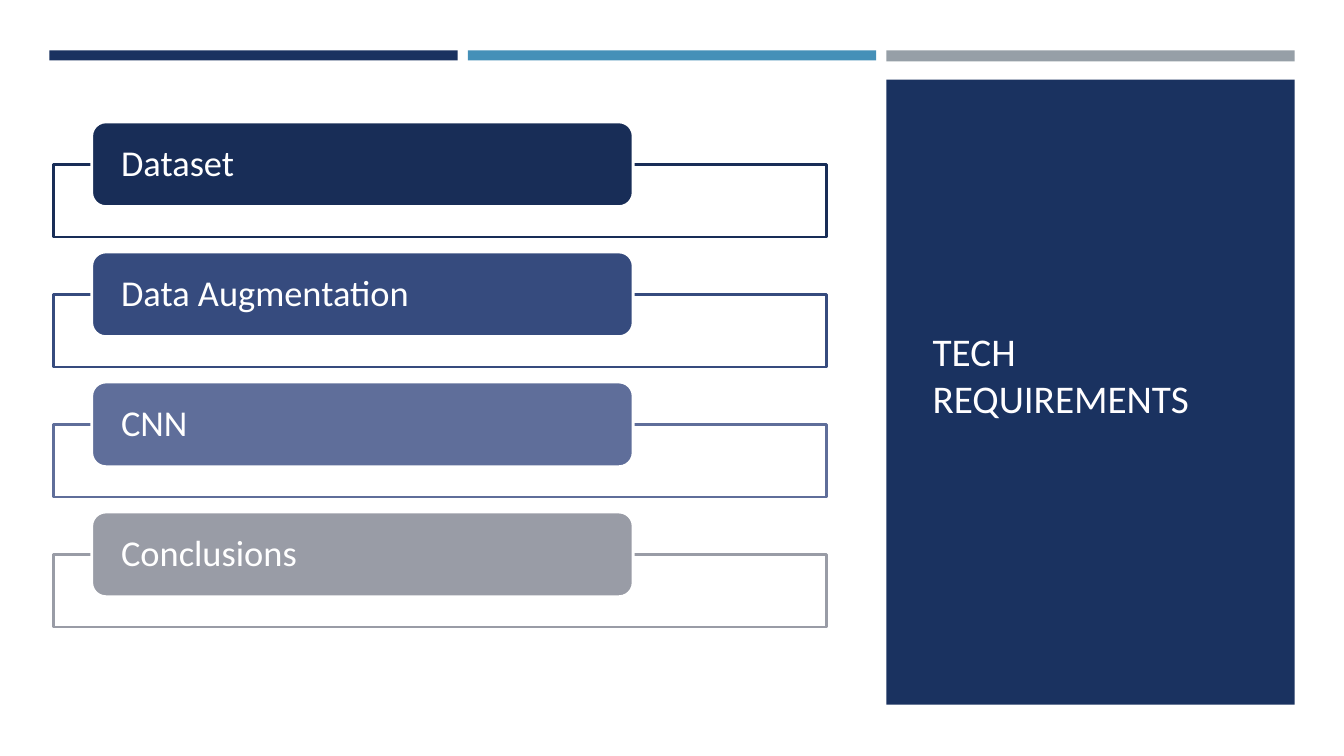
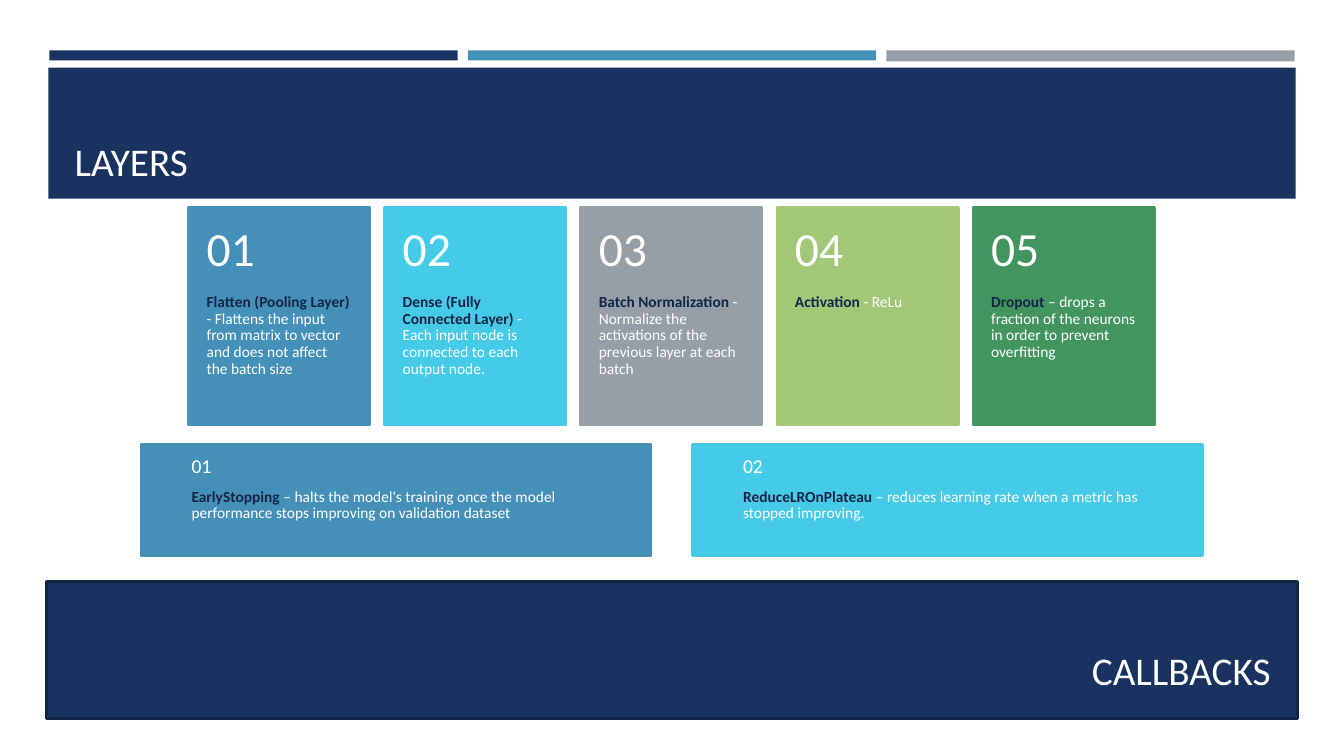
from pptx import Presentation
from pptx.dml.color import RGBColor
from pptx.enum.shapes import MSO_SHAPE
from pptx.enum.text import MSO_ANCHOR, MSO_AUTO_SIZE, PP_ALIGN
from pptx.util import Pt

PX = 9144
FONT = "Calibri"

NAVY = RGBColor(0x1A, 0x32, 0x60)
NAVY_EDGE = RGBColor(0x13, 0x25, 0x47)
INK = RGBColor(0x14, 0x26, 0x48)
BLUE = RGBColor(0x45, 0x90, 0xB8)
CYAN = RGBColor(0x45, 0xCB, 0xE8)
GREY = RGBColor(0x96, 0x9F, 0xA7)
LIME = RGBColor(0xA2, 0xC7, 0x77)
GREEN = RGBColor(0x42, 0x95, 0x5F)
WHITE = RGBColor(0xFF, 0xFF, 0xFF)
TITLE_WHITE = RGBColor(0xFF, 0xFE, 0xFF)
STEP_NAVY = RGBColor(0x18, 0x2D, 0x57)
STEP_INDIGO = RGBColor(0x36, 0x4B, 0x7E)
STEP_SLATE = RGBColor(0x5F, 0x6E, 0x9A)
STEP_GREY = RGBColor(0x99, 0x9C, 0xA6)

STRIPES = [(NAVY, 10), (BLUE, 10), (GREY, 11)]

REQUIREMENTS = [
    ("Dataset", STEP_NAVY),
    ("Data Augmentation", STEP_INDIGO),
    ("CNN", STEP_SLATE),
    ("Conclusions", STEP_GREY),
]

LAYERS = [
    ("Flatten (Pooling Layer) ",
     "- Flattens the input from matrix to vector and does not affect the batch size", BLUE),
    ("Dense (Fully Connected Layer)",
     " - Each input node is connected to each output node.", CYAN),
    ("Batch Normalization ",
     "- Normalize the activations of the previous layer at each batch", GREY),
    ("Activation ", "- ReLu", LIME),
    ("Dropout ",
     "– drops a fraction of the neurons in order to prevent overfitting", GREEN),
]

CALLBACKS = [
    ("EarlyStopping ",
     "– halts the model's training once the model performance stops improving "
     "on validation dataset", BLUE),
    ("ReduceLROnPlateau ",
     "– reduces learning rate when a metric has stopped improving.", CYAN),
]

LAYER_ROW = dict(left=187, right=1145, top=206, width=180, height=216,
                 number_height=86, number_size=34, inset=18)
CALLBACK_ROW = dict(left=140, right=1193, top=441, width=506, height=110,
                    number_height=44, number_size=14, inset=50)


def emu(*lengths):
    return [round(length * PX) for length in lengths]


def add_block(slide, box, fill, edge=None, weight=1.75, kind=MSO_SHAPE.RECTANGLE):
    block = slide.shapes.add_shape(kind, *emu(*box))
    block.shadow.inherit = False
    block.fill.solid()
    block.fill.fore_color.rgb = fill
    if edge is None:
        block.line.fill.background()
    else:
        block.line.color.rgb = edge
        block.line.width = Pt(weight)
    return block


def write(holder, runs, size, anchor, insets=(10, 5, 10, 5),
          align=PP_ALIGN.LEFT, spacing=0.9):
    frame = holder.text_frame
    frame.word_wrap = True
    frame.auto_size = MSO_AUTO_SIZE.NONE
    frame.vertical_anchor = anchor
    (frame.margin_left, frame.margin_top,
     frame.margin_right, frame.margin_bottom) = emu(*insets)
    paragraph = frame.paragraphs[0]
    paragraph.alignment = align
    paragraph.line_spacing = spacing
    for words, colour, bold in runs:
        run = paragraph.add_run()
        run.text = words
        run.font.name = FONT
        run.font.size = Pt(size)
        run.font.bold = bold
        run.font.color.rgb = colour


def add_text(slide, box, *args, **kwargs):
    write(slide.shapes.add_textbox(*emu(*box)), *args, **kwargs)


def start_slide(deck, title_words, panel, title_box, anchor):
    slide = deck.slides.add_slide(deck.slide_layouts[5])
    for index, (colour, height) in enumerate(STRIPES):
        add_block(slide, (49 + index * 415, 50, 405, height), colour)
    add_block(slide, panel, NAVY)
    title = slide.shapes.title
    title.element.getparent().append(title.element)
    title.left, title.top, title.width, title.height = emu(*title_box)
    write(title, [(title_words, TITLE_WHITE, False)], 28, anchor, spacing=1.0)
    return slide


def add_card_row(slide, cards, row):
    pitch = (row["right"] - row["left"] - row["width"]) / (len(cards) - 1)
    top, width, inset = row["top"], row["width"], row["inset"]
    number_height = row["number_height"]
    for index, (term, meaning, colour) in enumerate(cards):
        left = row["left"] + index * pitch
        add_block(slide, (left, top, width, row["height"]), colour, colour)
        add_text(slide, (left, top + number_height, width, row["height"] - number_height),
                 [(term, INK, True), (meaning, WHITE, False)], 11,
                 MSO_ANCHOR.TOP, (inset, 0, inset, 36))
        add_text(slide, (left, top, width, number_height),
                 [(f"{index + 1:02}", WHITE, False)], row["number_size"],
                 MSO_ANCHOR.MIDDLE, (inset, 18, inset, 18))


def build_requirements(deck):
    slide = start_slide(deck, "TECH REQUIREMENTS", (879, 79, 405, 620),
                        (915, 114, 334, 515), MSO_ANCHOR.MIDDLE)
    for index, (step, colour) in enumerate(REQUIREMENTS):
        top = 121 + index * 129
        add_block(slide, (53, top + 42, 767, 72), WHITE, colour)
        label = add_block(slide, (91, top, 537, 84), colour, WHITE, 2,
                          MSO_SHAPE.ROUNDED_RECTANGLE)
        write(label, [(step, WHITE, False)], 26, MSO_ANCHOR.MIDDLE, (25, 4, 25, 4))


def build_layers(deck):
    slide = start_slide(deck, "LAYERS", (48, 67, 1237, 130),
                        (64, 77, 1206, 111), MSO_ANCHOR.BOTTOM)
    add_card_row(slide, LAYERS, LAYER_ROW)
    add_block(slide, (46, 577, 1241, 136), NAVY, NAVY_EDGE)
    add_text(slide, (800, 585, 470, 108), [("CALLBACKS", WHITE, False)], 28,
             MSO_ANCHOR.BOTTOM, align=PP_ALIGN.RIGHT, spacing=1.0)
    add_card_row(slide, CALLBACKS, CALLBACK_ROW)


def main():
    deck = Presentation()
    deck.slide_width, deck.slide_height = emu(1333, 750)
    build_requirements(deck)
    build_layers(deck)
    deck.save("out.pptx")


if __name__ == "__main__":
    main()
